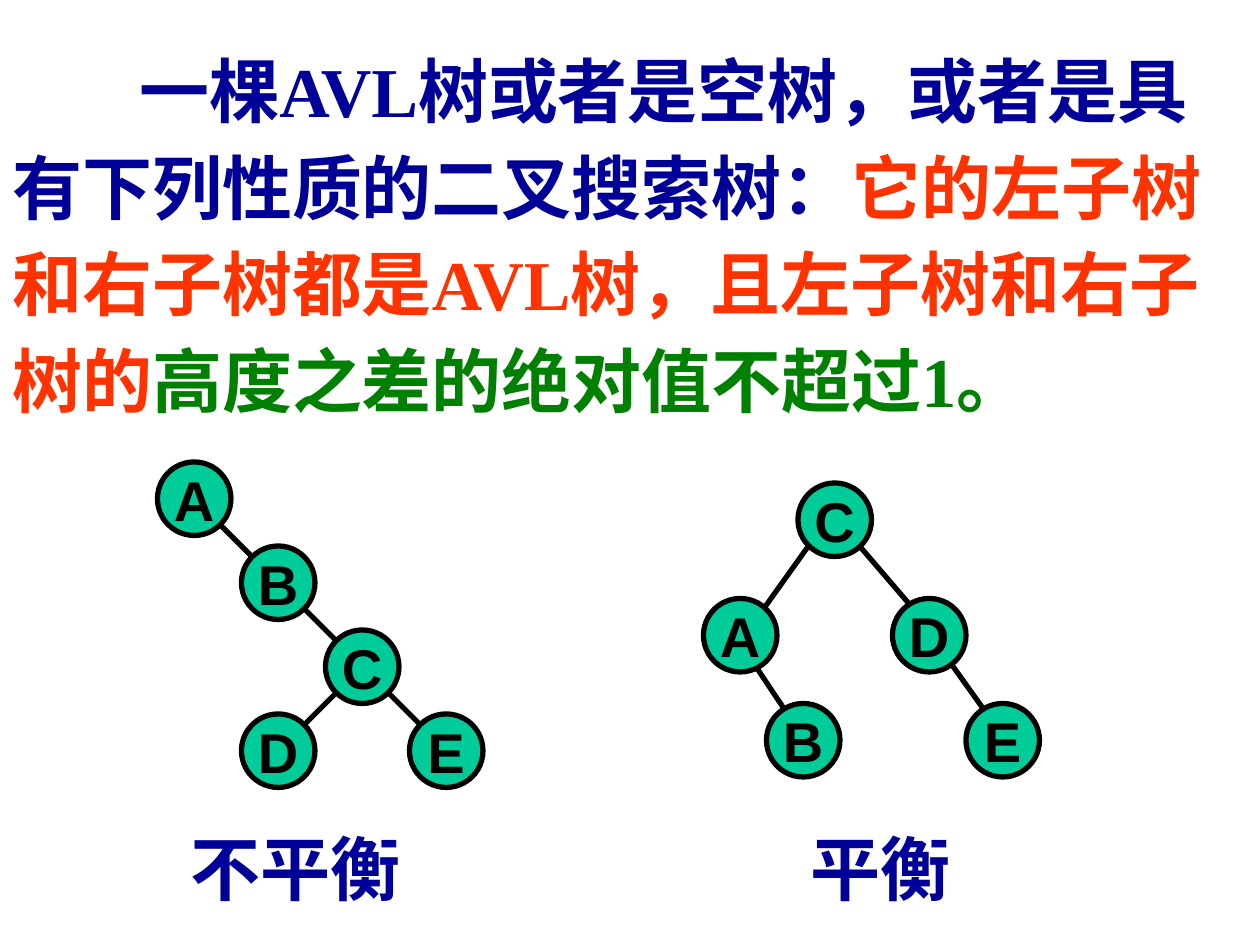
import pptx
import pptx.dml.color
import pptx.enum.shapes
import pptx.enum.text
import pptx.oxml.ns
import pptx.util
from lxml import etree

HUES = {"navy": "000099", "red": "FF3300", "green": "008000",
        "teal": "00CC99", "black": "000000"}
CJK = "Noto Sans CJK SC"
COLS, ROWS = 120, 90
NODE = 7  # circle size in grid cells

INTRO = [
    ("一棵AVL树或者是空树，或者是具有下列性质的二叉搜索树：", "navy"),
    ("它的左子树和右子树都是AVL树，且左子树和右子树的", "red"),
    ("高度之差的绝对值不超过1。", "green"),
]
# Nodes are (column, row) of the top left; edges are (from, to) points.
SKEWED = (
    {"A": (15, 44), "B": (23, 52), "C": (31, 60), "D": (23, 68), "E": (39, 68)},
    [((19, 48), (25, 54)), ((27, 56), (33, 62)),
     ((35, 64), (41, 70)), ((33, 65), (27, 71))],
)
EVEN = (
    {"A": (67, 57), "B": (73, 67), "C": (76, 46), "D": (85, 57), "E": (92, 67)},
    [((71, 62), (75, 68)), ((89, 61), (94, 68)),
     ((81, 51), (87, 58)), ((77, 52), (72, 59))],
)


def color(name):
    return pptx.dml.color.RGBColor.from_string(HUES[name])


def write(frame, runs, size=40, font=CJK, align=None, space=None, indent=0,
          wrap=True):
    """Fill a text frame with one paragraph of (text, hue) runs."""
    frame.word_wrap = wrap
    para = frame.paragraphs[0]
    para.alignment = align
    para.line_spacing = space
    if indent:
        para._p.get_or_add_pPr().set("indent", str(pptx.util.Inches(indent)))
    for text, hue in runs:
        run = para.add_run()
        run.text = text
        run.font.size = pptx.util.Pt(size)
        run.font.bold = True
        run.font.name = font
        run.font.color.rgb = color(hue)
        east = etree.SubElement(run._r.rPr, pptx.oxml.ns.qn("a:ea"))
        east.set("typeface", CJK)


class Deck:
    def __init__(self):
        self.show = pptx.Presentation()
        self.show.slide_width = pptx.util.Inches(10)
        self.show.slide_height = pptx.util.Inches(7.5)
        self.slide = self.show.slides.add_slide(self.show.slide_layouts[6])

    def x(self, col):
        return round(self.show.slide_width * col / COLS)

    def y(self, row):
        return round(self.show.slide_height * row / ROWS)

    def text(self, col, row, wide, high, runs, **form):
        box = self.slide.shapes.add_textbox(
            self.x(col), self.y(row), self.x(wide), self.y(high))
        write(box.text_frame, runs, **form)

    def stroke(self, line):
        line.color.rgb = color("black")
        line.width = pptx.util.Pt(3)

    def edge(self, group, start, end):
        line = group.shapes.add_connector(
            pptx.enum.shapes.MSO_CONNECTOR.STRAIGHT,
            self.x(start[0]), self.y(start[1]), self.x(end[0]), self.y(end[1]))
        self.stroke(line.line)
        etree.SubElement(line._element.spPr, pptx.oxml.ns.qn("a:effectLst"))

    def node(self, group, name, col, row):
        disc = group.shapes.add_shape(
            pptx.enum.shapes.MSO_SHAPE.OVAL,
            self.x(col), self.y(row), self.x(NODE), self.y(NODE))
        disc.shadow.inherit = False
        disc.fill.solid()
        disc.fill.fore_color.rgb = color("teal")
        self.stroke(disc.line)
        disc.text_frame.vertical_anchor = pptx.enum.text.MSO_ANCHOR.MIDDLE
        write(disc.text_frame, [(name, "black")], size=32, font="Arial",
              align=pptx.enum.text.PP_ALIGN.CENTER, wrap=False)

    def tree(self, nodes, edges):
        group = self.slide.shapes.add_group_shape()
        for start, end in edges:
            self.edge(group, start, end)
        for name, (col, row) in nodes.items():
            self.node(group, name, col, row)


def main():
    deck = Deck()
    deck.text(0, 2.75, COLS, 38, INTRO, font="Times New Roman",
              space=1.15, indent=1.01)
    deck.tree(*EVEN)
    deck.tree(*SKEWED)
    deck.text(76, 78, 17.4, 9.25, [("平衡", "navy")])
    deck.text(17, 78, 23, 9.25, [("不平衡", "navy")])
    deck.show.save("out.pptx")


if __name__ == "__main__":
    main()
